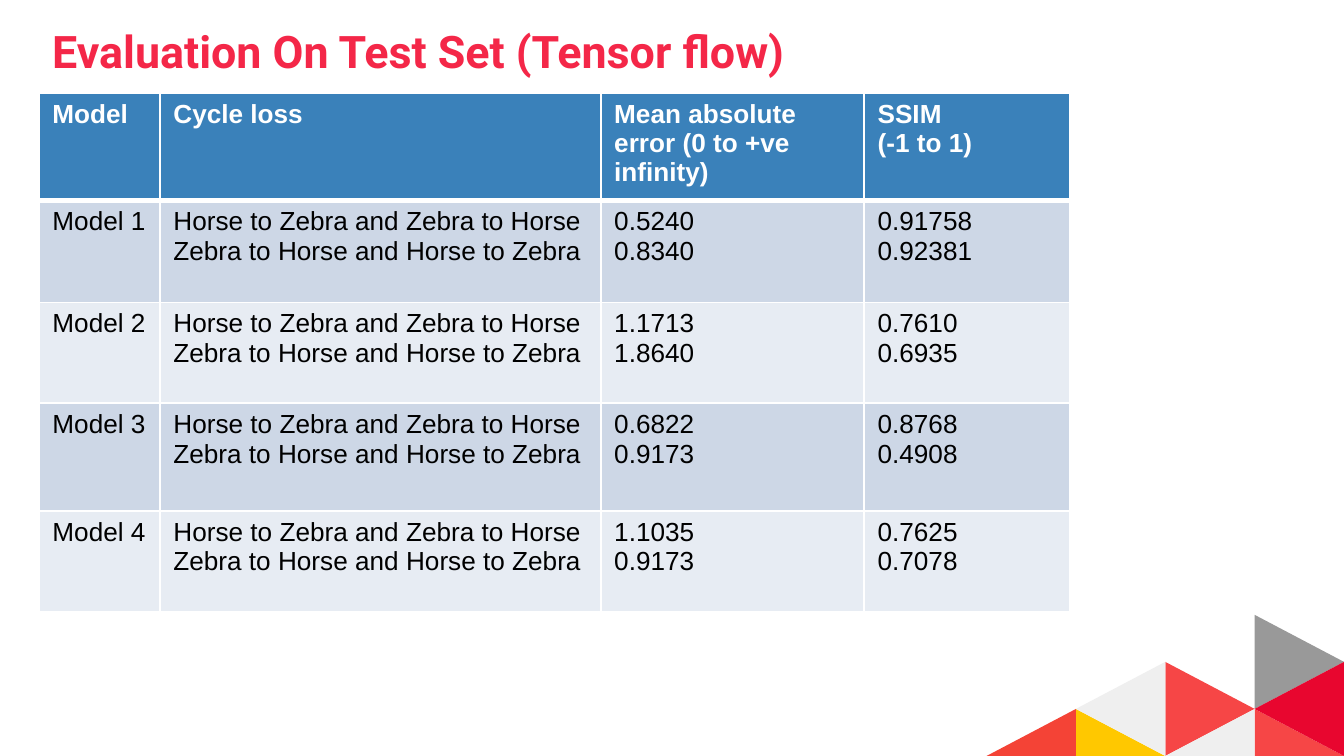
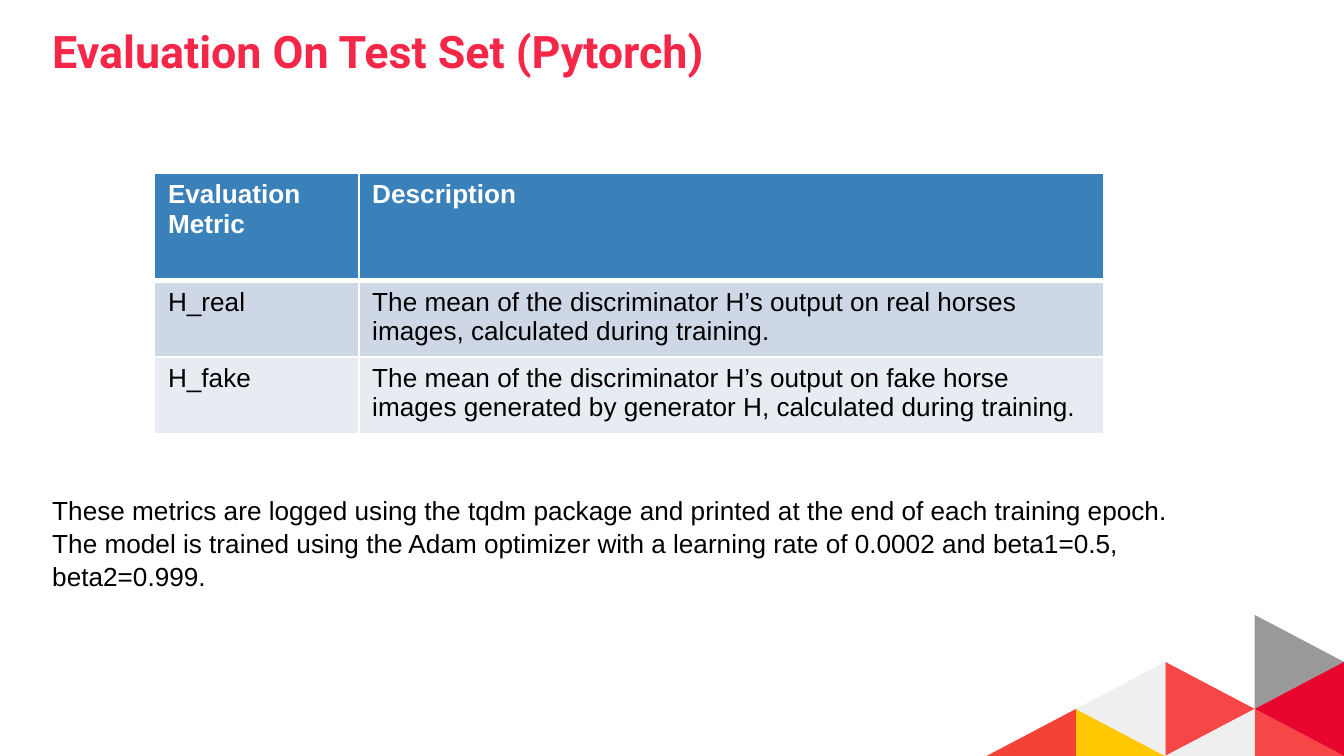
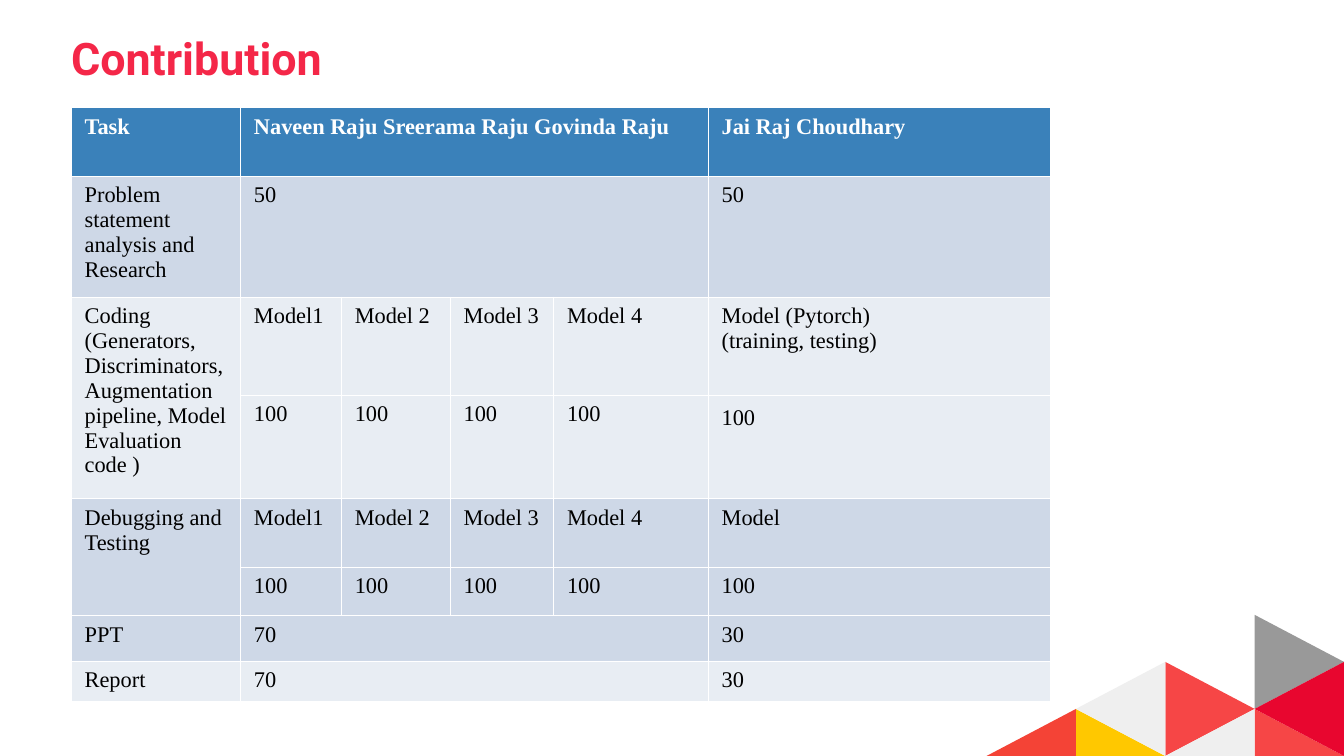
from lxml.etree import SubElement
from pptx import Presentation
from pptx.dml.color import RGBColor
from pptx.oxml.ns import qn
from pptx.util import Inches, Pt

WIDTH, HEIGHT = 10, 5.625
RED, BLUE, WHITE, BLACK = "F42748", "3A81BA", "FFFFFF", "000000"
DARK_BAND, LIGHT_BAND = "CDD7E6", "E7ECF3"
DARK_TASK, LIGHT_TASK = "CED8E7", "E8EDF3"


def write(frame, text, font, size, color, bold=False, spacing=None):
    """Put each line in a paragraph; a vertical tab breaks a line inside one."""
    frame.word_wrap = True
    for number, line in enumerate(text.split("\n")):
        paragraph = frame.paragraphs[0] if number == 0 else frame.add_paragraph()
        if spacing:
            paragraph.line_spacing = spacing
        for part, words in enumerate(line.split("\v")):
            if part:
                paragraph.add_line_break()
            run = paragraph.add_run()
            run.text = words
            run.font.name, run.font.size, run.font.bold = font, Pt(size), bold
            run.font.color.rgb = RGBColor.from_string(color)


def draw_table(slide, left, top, columns, heights, rows, fills, font, size, rule, header_rule):
    """Draw a ruled table; None leaves a cell to be covered by a merge."""
    table = slide.shapes.add_table(
        len(rows), len(columns), Inches(left), Inches(top),
        Inches(sum(columns)), Inches(sum(heights))).table
    for column, width in zip(table.columns, columns):
        column.width = Inches(width)
    for r, (texts, fill) in enumerate(zip(rows, fills)):
        table.rows[r].height = Inches(heights[r])
        for c, text in enumerate(texts):
            cell = table.cell(r, c)
            properties = cell._tc.get_or_add_tcPr()
            above = header_rule if r == 1 else rule
            below = header_rule if r == 0 else rule
            for side, points in (("L", rule), ("R", rule), ("T", above), ("B", below)):
                edge = SubElement(properties, qn(f"a:ln{side}"), w=str(Pt(points)))
                SubElement(SubElement(edge, qn("a:solidFill")), qn("a:srgbClr"), val=WHITE)
            cell.fill.solid()
            cell.fill.fore_color.rgb = RGBColor.from_string(fill)
            if text is not None:
                write(cell.text_frame, text, font, size, BLACK if r else WHITE, r == 0)
    return table


deck = Presentation()
deck.slide_width, deck.slide_height = Inches(WIDTH), Inches(HEIGHT)

# Corner mosaic: (columns from the right, rows from the bottom) of each triangle
tile_width, tile_height = 0.665, 0.35
mosaic = [
    ("999999", [(1, 3), (1, 1), (0, 2)]),
    ("FFC800", [(3, 1), (3, 0), (2, 0)]),
    ("F64646", [(2, 2), (2, 0), (1, 1)]),
    ("F64646", [(1, 1), (1, 0), (0, 0)]),
    ("EFEFEF", [(2, 2), (3, 1), (2, 0)]),
    ("EFEFEF", [(1, 1), (2, 0), (1, 0)]),
    ("E8062F", [(0, 2), (1, 1), (0, 0)]),
    ("F44336", [(3, 1), (4, 0), (3, 0)]),
]

# Shared frame of every slide: mosaic and title
titles = [
    ("Evaluation On Test Set (Tensor flow)", 0.29, 0.08, 0.73),
    ("Evaluation On Test Set (Pytorch)", 0.29, 0.08, 0.73),
    ("Contribution", 0.43, 0.13, 0.5),
]
slides = []
for heading, left, top, height in titles:
    slide = deck.slides.add_slide(deck.slide_layouts[6])
    for color, corners in mosaic:
        points = [(Inches(WIDTH - x * tile_width), Inches(HEIGHT - y * tile_height))
                  for x, y in corners]
        outline = slide.shapes.build_freeform(*points[0])
        outline.add_line_segments(points[1:], close=True)
        triangle = outline.convert_to_shape()
        triangle.shadow.inherit = False
        triangle.fill.solid()
        triangle.fill.fore_color.rgb = RGBColor.from_string(color)
        triangle.line.fill.background()
    title = slide.shapes.add_textbox(Inches(left), Inches(top), Inches(7.91), Inches(height))
    title.text_frame.margin_top = title.text_frame.margin_bottom = Inches(0.1)
    write(title.text_frame, heading, "Roboto", 24, RED, True)
    slides.append(slide)
tensorflow_slide, pytorch_slide, contribution_slide = slides

# Scores of the four models
directions = "Horse to Zebra and Zebra to Horse\nZebra to Horse and Horse to Zebra"
scores = [
    ("0.5240\n0.8340", "0.91758\n0.92381"),
    ("1.1713\n1.8640", "0.7610\n0.6935"),
    ("0.6822\n0.9173", "0.8768\n0.4908"),
    ("1.1035\n0.9173", "0.7625\n0.7078"),
]
score_rows = [["Model", "Cycle loss", "Mean absolute error (0 to +ve infinity)", "SSIM\n(-1 to 1)"]]
for number, (error, ssim) in enumerate(scores, 1):
    score_rows.append([f"Model {number}", directions, error, ssim])
draw_table(tensorflow_slide, 0.29, 0.69, [0.9, 3.28, 1.96, 1.53],
           [0.8, 0.76, 0.75, 0.8, 0.75], score_rows,
           [BLUE] + [DARK_BAND, LIGHT_BAND] * 2, "Arial", 14, 1, 3)

# Metrics and how they are logged
metric_rows = [
    ["Evaluation Metric", "Description"],
    ["H_real", "The mean of the discriminator H’s output on real horses images, "
               "calculated during training."],
    ["H_fake", "The mean of the discriminator H’s output on fake horse images "
               "generated by generator H, calculated during training."],
]
draw_table(pytorch_slide, 1.15, 1.29, [1.52, 5.54], [0.8, 0.54, 0.56], metric_rows,
           [BLUE, DARK_BAND, LIGHT_BAND], "Arial", 14, 1, 3)
training = pytorch_slide.shapes.add_textbox(Inches(0.29), Inches(3.62), Inches(9.25), Inches(0.57))
write(training.text_frame,
      "These metrics are logged using the tqdm package and printed at the end of each "
      "training epoch.\nThe model is trained using the Adam optimizer with a learning rate "
      "of 0.0002 and beta1=0.5, beta2=0.999.", "Arial", 14, BLACK, spacing=1.05)

# Share of each task per person
models = ["Model1", "Model 2", "Model 3", "Model 4"]
full = ["100"] * 4
covered = [None] * 3
task_rows = [
    ["Task", "Naveen Raju Sreerama Raju Govinda Raju", *covered, "Jai Raj Choudhary"],
    ["Problem statement analysis and Research", "50", *covered, "50"],
    ["Coding\n(Generators, Discriminators, Augmentation pipeline, Model Evaluation code )",
     *models, "Model (Pytorch)\v(training, testing)"],
    [None, *full, "100"],
    ["Debugging and Testing", *models, "Model"],
    [None, *full, "100"],
    ["PPT", "70", *covered, "30"],
    ["Report", "70", *covered, "30"],
]
task_fills = [BLUE, DARK_TASK] + [LIGHT_TASK] * 2 + [DARK_TASK] * 3 + [LIGHT_TASK]
tasks = draw_table(contribution_slide, 0.53, 0.8, [1.26, 0.75, 0.81, 0.77, 1.15, 2.55],
                   [0.51, 0.87, 0.73, 0.73, 0.51, 0.36, 0.34, 0.29], task_rows,
                   task_fills, "Times New Roman", 12, 0.5, 0.5)
for row in (0, 1, 6, 7):
    tasks.cell(row, 1).merge(tasks.cell(row, 4))
for row in (2, 4):
    tasks.cell(row, 0).merge(tasks.cell(row + 1, 0))
tasks.cell(3, 5).text_frame.paragraphs[0].line_spacing = 1.15

deck.save("out.pptx")
